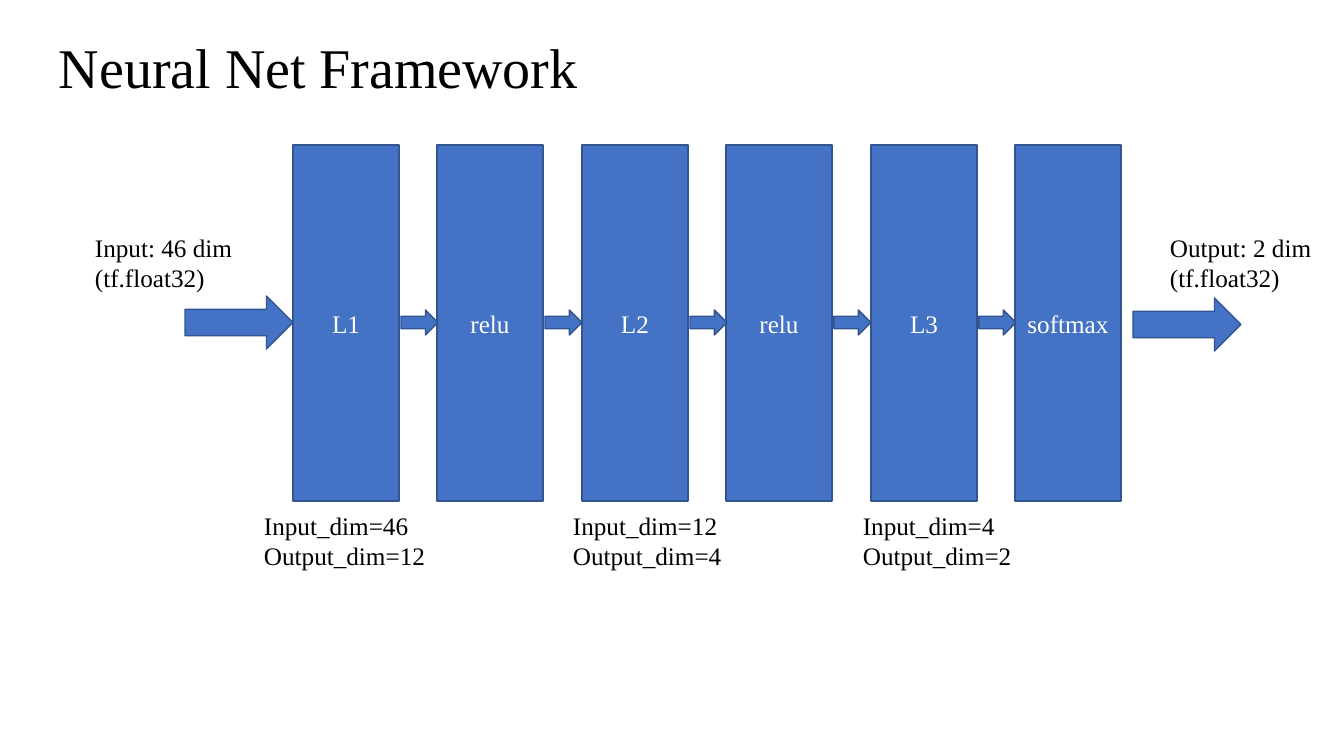
"""Build the neural net framework slide: a chain of layers joined by arrows."""
from typing import NamedTuple

from pptx import Presentation
from pptx.dml.color import RGBColor
from pptx.enum.shapes import MSO_SHAPE
from pptx.enum.text import MSO_ANCHOR, MSO_AUTO_SIZE, PP_ALIGN
from pptx.util import Emu, Pt

RECTANGLE = MSO_SHAPE.RECTANGLE
RIGHT_ARROW = MSO_SHAPE.RIGHT_ARROW
MIDDLE = MSO_ANCHOR.MIDDLE
CENTER = PP_ALIGN.CENTER
FIT_SHAPE = MSO_AUTO_SIZE.SHAPE_TO_FIT_TEXT

PIXELS_PER_INCH = 100.8
FONT = "Times New Roman"
BLUE, DARK_BLUE, WHITE, BLACK = "4472C4", "325491", "FFFFFF", "000000"
LAYER_NAMES = ["L1", "relu", "L2", "relu", "L3", "softmax"]
FIRST_LAYER_LEFT, LAYER_TOP, LAYER_WIDTH, LAYER_HEIGHT = 293, 145, 106, 356
TWO_LAYER_PITCH = 289
LINK_OFFSET, LINK_TOP, LINK_WIDTH, LINK_HEIGHT = 108, 310, 37, 25


class Box(NamedTuple):
    left: int
    top: int
    width: int
    height: int


class Label(NamedTuple):
    lines: list[str]
    box: Box
    size: int = 18


LABELS = [
    Label(["Neural Net Framework"], Box(49, 28, 545, 78), 40),
    Label(["Input: 46 dim", "(tf.float32)"], Box(85, 227, 169, 72)),
    Label(["Output: 2 dim", "(tf.float32)"], Box(1160, 227, 163, 72)),
    Label(["Input_dim=46", "Output_dim=12"], Box(254, 505, 183, 72)),
    Label(["Input_dim=12", "Output_dim=4"], Box(563, 505, 170, 72)),
    Label(["Input_dim=4", "Output_dim=2"], Box(853, 505, 170, 72)),
]
END_ARROWS = [Box(185, 296, 108, 53), Box(1133, 298, 108, 53)]


def pixels(count: int) -> Emu:
    return Emu(round(count * 914400 / PIXELS_PER_INCH))


def color(value: str) -> RGBColor:
    return RGBColor.from_string(value)


def place(box: Box) -> list[Emu]:
    return [pixels(length) for length in box]


def style_paragraph(paragraph, text: str, size: int, text_color: str) -> None:
    paragraph.text = text
    paragraph.font.name = FONT
    paragraph.font.size = Pt(size)
    paragraph.font.color.rgb = color(text_color)


def draw_shape(slide, kind: MSO_SHAPE, box: Box):
    shape = slide.shapes.add_shape(kind, *place(box))
    shape.shadow.inherit = False
    shape.fill.solid()
    shape.fill.fore_color.rgb = color(BLUE)
    shape.line.color.rgb = color(DARK_BLUE)
    shape.line.width = Pt(1)
    return shape


def draw_layer(slide, name: str, left: int) -> None:
    box = Box(left, LAYER_TOP, LAYER_WIDTH, LAYER_HEIGHT)
    frame = draw_shape(slide, RECTANGLE, box).text_frame
    frame.vertical_anchor = MIDDLE
    paragraph = frame.paragraphs[0]
    paragraph.alignment = CENTER
    style_paragraph(paragraph, name, 18, WHITE)


def draw_label(slide, label: Label) -> None:
    frame = slide.shapes.add_textbox(*place(label.box)).text_frame
    frame.word_wrap = False
    frame.auto_size = FIT_SHAPE
    for index, line in enumerate(label.lines):
        paragraph = frame.add_paragraph() if index else frame.paragraphs[0]
        style_paragraph(paragraph, line, label.size, BLACK)


def main() -> None:
    presentation = Presentation()
    presentation.slide_width = pixels(1344)
    presentation.slide_height = pixels(756)
    slide = presentation.slides.add_slide(presentation.slide_layouts[6])

    lefts = [FIRST_LAYER_LEFT + TWO_LAYER_PITCH * index // 2
             for index in range(len(LAYER_NAMES))]
    for name, left in zip(LAYER_NAMES, lefts):
        draw_layer(slide, name, left)
    links = [Box(left + LINK_OFFSET, LINK_TOP, LINK_WIDTH, LINK_HEIGHT)
             for left in lefts[:-1]]
    for box in END_ARROWS + links:
        draw_shape(slide, RIGHT_ARROW, box)
    for label in LABELS:
        draw_label(slide, label)

    presentation.save("out.pptx")


main()
